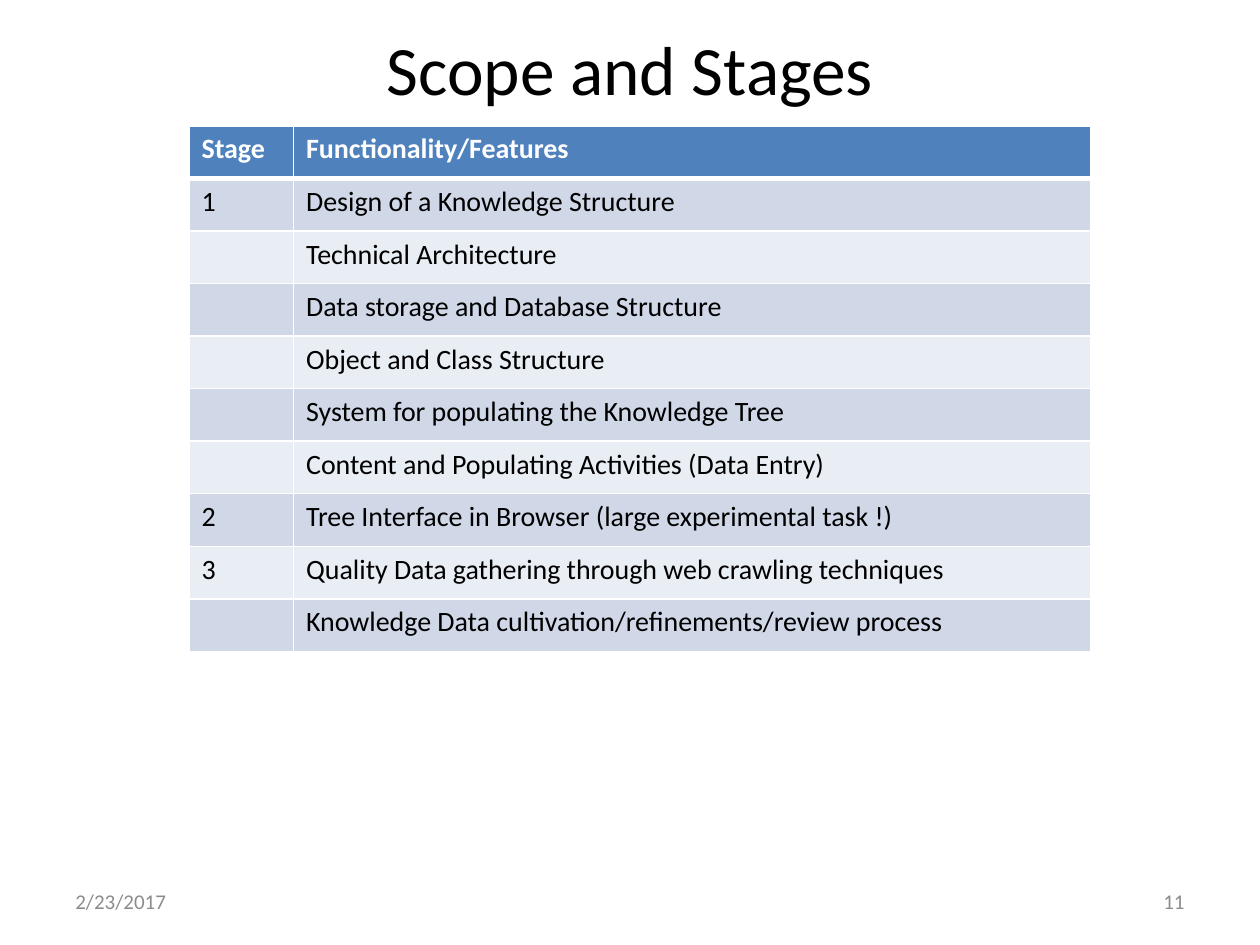
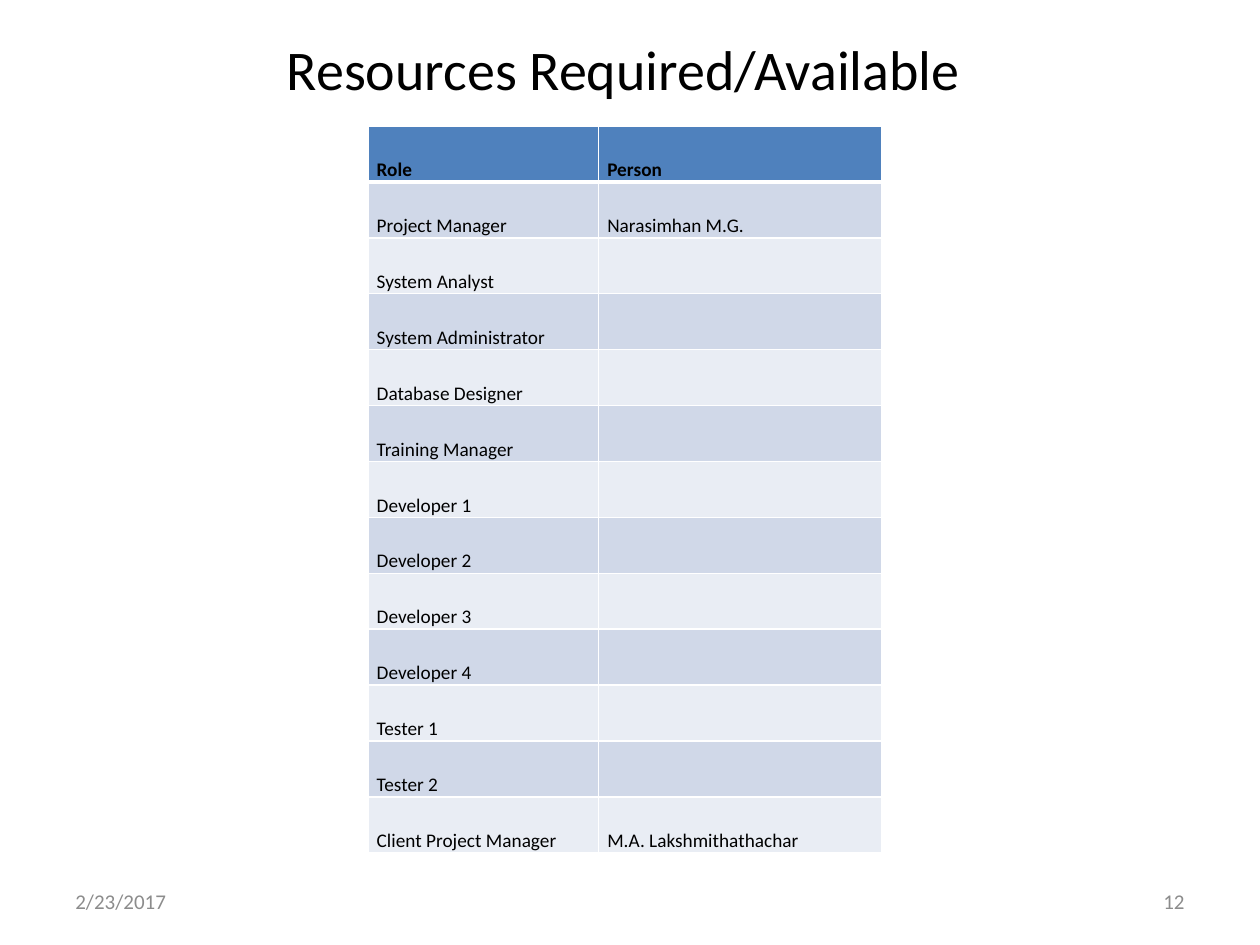
from dataclasses import dataclass

from lxml.etree import SubElement
from pptx import Presentation
from pptx.dml.color import RGBColor
from pptx.enum.text import MSO_ANCHOR as Anchor, MSO_AUTO_SIZE as AutoSize, PP_ALIGN as Align
from pptx.oxml.ns import qn
from pptx.util import Inches, Pt


# Shared look of the slides
@dataclass(frozen=True)
class Theme:
    font: str = "Calibri"
    text: str = "000000"
    white: str = "FFFFFF"
    footer: str = "8C8C8C"
    header: str = "4F81BD"
    bands: tuple = ("D0D8E8", "E9EDF4")
    footer_size: float = 12
    thin: float = 1
    thick: float = 3


THEME = Theme()
DATE = "2/23/2017"

# Table content
STAGES = [
    ("Stage", "Functionality/Features"),
    ("1", "Design of a Knowledge Structure"),
    ("", "Technical Architecture"),
    ("", "Data storage and Database Structure"),
    ("", "Object and Class Structure"),
    ("", "System for populating the Knowledge Tree"),
    ("", "Content and Populating Activities (Data Entry)"),
    ("2", "Tree Interface in Browser (large experimental task !)"),
    ("3", "Quality Data gathering through web crawling techniques"),
    ("", "Knowledge Data cultivation/refinements/review process"),
]
RESOURCES = [
    ("Role", "Person"),
    ("Project Manager", "Narasimhan M.G."),
    ("System Analyst", ""),
    ("System Administrator", ""),
    ("Database Designer", ""),
    ("Training Manager", ""),
    *((f"Developer {number}", "") for number in range(1, 5)),
    *((f"Tester {number}", "") for number in range(1, 3)),
    ("Client Project Manager", "M.A. Lakshmithathachar"),
]


def write(text_frame, text, size, color, bold=False, align=None):
    text_frame.text = text
    paragraph = text_frame.paragraphs[0]
    if align is not None:
        paragraph.alignment = align
    for run in paragraph.runs:
        font = run.font
        font.name, font.size, font.bold = THEME.font, Pt(size), bold
        font.color.rgb = RGBColor.from_string(color)


def place(shape, left, top, width, height):
    shape.left, shape.top = Inches(left), Inches(top)
    shape.width, shape.height = Inches(width), Inches(height)


def add_footer(slide, left, text, align):
    box = slide.shapes.add_textbox(Inches(left), Inches(6.95), Inches(2.33), Inches(0.4))
    box.text_frame.word_wrap = True
    box.text_frame.vertical_anchor = Anchor.MIDDLE
    write(box.text_frame, text, THEME.footer_size, THEME.footer, align=align)


def add_slide(presentation, title, title_size, number):
    """Add a slide with its title, date and slide number."""
    slide = presentation.slides.add_slide(presentation.slide_layouts[5])
    heading = slide.shapes.title
    place(heading, 0.5, 0.25, 9, 0.58)
    heading.text_frame.auto_size = AutoSize.NONE
    heading.text_frame.vertical_anchor = Anchor.MIDDLE
    write(heading.text_frame, title, title_size, THEME.text, align=Align.CENTER)
    add_footer(slide, 0.5, DATE, Align.LEFT)
    add_footer(slide, 7.17, str(number), Align.RIGHT)
    return slide


def set_borders(cell, top, bottom):
    """Draw white cell borders; the widths are in points."""
    properties = cell._tc.get_or_add_tcPr()
    widths = {"lnL": THEME.thin, "lnR": THEME.thin, "lnT": top, "lnB": bottom}
    for tag, width in widths.items():
        line = SubElement(properties, qn(f"a:{tag}"), w=str(Pt(width)))
        fill = SubElement(line, qn("a:solidFill"))
        SubElement(fill, qn("a:srgbClr"), val=THEME.white)


def add_banded_table(slide, rows, left, columns, row_height, size, header_color,
                     anchor=Anchor.TOP, margins=None):
    """Add a table with a header row and alternating body bands."""
    frame = slide.shapes.add_table(
        len(rows), len(columns), Inches(left), Inches(1),
        Inches(sum(columns)), Inches(row_height * len(rows)))
    table = frame.table
    for column, width in zip(table.columns, columns):
        column.width = Inches(width)
    for row_index, values in enumerate(rows):
        is_header = row_index == 0
        band = THEME.header if is_header else THEME.bands[(row_index - 1) % 2]
        # The thick rule lies between the header and the first body row
        top = THEME.thick if row_index == 1 else THEME.thin
        bottom = THEME.thick if is_header else THEME.thin
        for cell, value in zip(table.rows[row_index].cells, values):
            set_borders(cell, top, bottom)
            cell.fill.solid()
            cell.fill.fore_color.rgb = RGBColor.from_string(band)
            cell.vertical_anchor = anchor
            if margins:
                side, end = margins
                cell.margin_left = cell.margin_right = Inches(side)
                cell.margin_top = cell.margin_bottom = Inches(end)
            if value:
                color = header_color if is_header else THEME.text
                write(cell.text_frame, value, size, color, bold=is_header)


def main():
    presentation = Presentation()
    presentation.slide_width, presentation.slide_height = Inches(10), Inches(7.5)

    # Scope and stages
    slide = add_slide(presentation, "Scope and Stages", 39.6, 11)
    add_banded_table(slide, STAGES, 1.5, (0.83, 6.33), 0.417, 16, THEME.white)

    # Project roles
    slide = add_slide(presentation, "Resources Required/Available ", 32, 12)
    add_banded_table(slide, RESOURCES, 2.92, (1.83, 2.25), 0.444, 11, THEME.text,
                     anchor=Anchor.BOTTOM, margins=(0.07, 0))

    presentation.save("out.pptx")


main()
